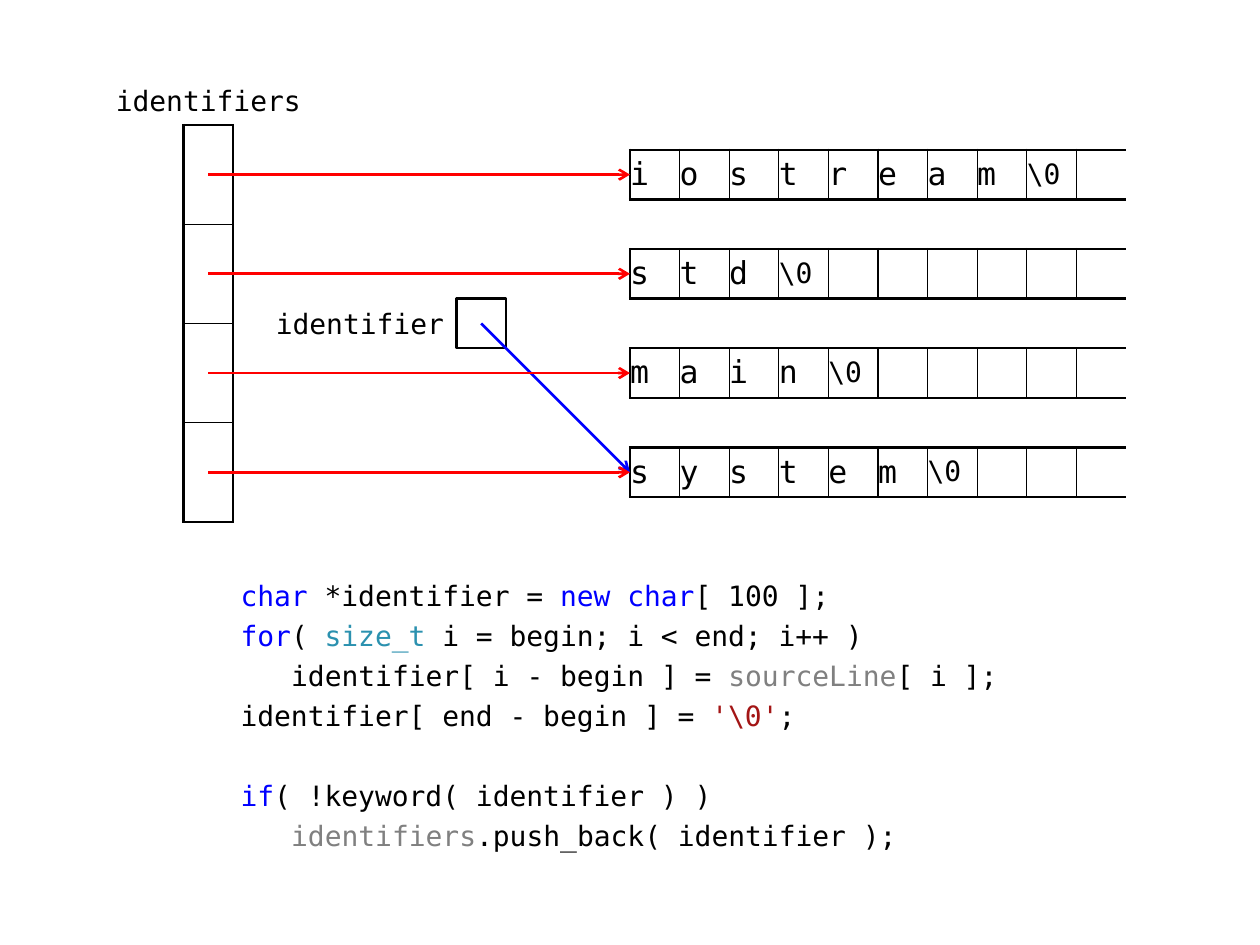
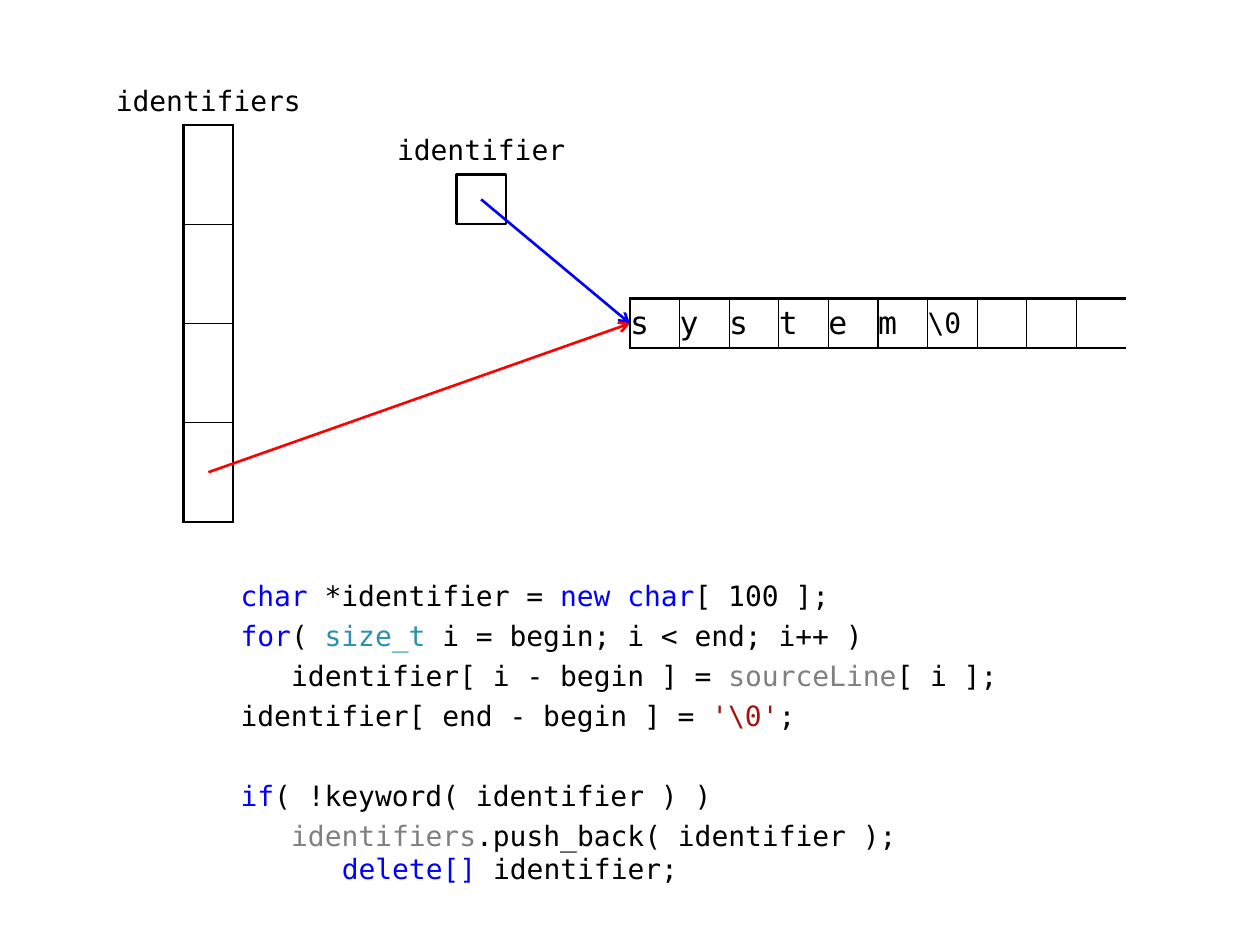
import pptx
import pptx.util
import pptx.dml.color
import pptx.enum.shapes
import pptx.enum.text
import pptx.oxml
import pptx.oxml.ns

Cm = pptx.util.Cm
Pt = pptx.util.Pt
RGBColor = pptx.dml.color.RGBColor
ALIGN = pptx.enum.text.PP_ALIGN
MIDDLE = pptx.enum.text.MSO_ANCHOR.MIDDLE

BLACK = RGBColor(0x00, 0x00, 0x00)
WHITE = RGBColor(0xFF, 0xFF, 0xFF)
BLUE = RGBColor(0x00, 0x00, 0xFF)
RED = RGBColor(0xFF, 0x00, 0x00)
TEAL = RGBColor(0x2B, 0x91, 0xAF)
GRAY = RGBColor(0x80, 0x80, 0x80)
BRICK = RGBColor(0xA3, 0x15, 0x15)

FONT = "DejaVu Sans Mono"
NS = pptx.oxml.ns.nsdecls("a")
THIN, THICK = 0.75, 1.5
TOP = 2.52
LIST_X, ROW_X, BOX_X = 3.7, 12.7, 9.2
STEP = 1.02
LEAD = 3.75
GAP = 26.15

CODE = [
    (0, 0, [("char", BLUE), (" *identifier = ", BLACK), ("new char", BLUE), ("[ 100 ];", BLACK)]),
    (0, LEAD, [("for", BLUE), ("( ", BLACK), ("size_t", TEAL), (" i = begin; i < end; i++ )", BLACK)]),
    (1, LEAD, [("identifier[ i - begin ] = ", BLACK), ("sourceLine", GRAY), ("[ i ];", BLACK)]),
    (0, LEAD, [("identifier[ end - begin ] = ", BLACK), (r"'\0'", BRICK), (";", BLACK)]),
    (0, GAP, [("if", BLUE), ("( !keyword( identifier ) )", BLACK)]),
    (1, LEAD, [("identifiers", GRAY), (".push_back( identifier );", BLACK)]),
]
FREE = (2, 0, [("delete[]", BLUE), (" identifier;", BLACK)])

PAGES = [
    {
        "code": CODE, "high": 6, "box": 6.02,
        "label": (5.2, 6.02, 4, ALIGN.RIGHT),
        "words": [(0, 3.02, "iostream"), (1, 5.02, "std"), (2, 7.02, "main"), (3, 9.02, "system")],
    },
    {
        "code": CODE + [FREE], "high": 6.5, "box": 3.52,
        "label": (7.7, 2.52, 4, ALIGN.CENTER),
        "words": [(3, 6.02, "system")],
    },
]


def add_grid(slide, x, y, rows, cols, high, texts, open_end):
    frame = slide.shapes.add_table(rows, cols, Cm(x), Cm(y), Cm(cols), Cm(rows * high))
    table = frame.table
    table.first_row = table.horz_banding = False
    for col in table.columns:
        col.width = Cm(1)
    for r, row in enumerate(table.rows):
        row.height = Cm(high)
        for c, cell in enumerate(row.cells):
            last = c == cols - 1
            edges = {
                "lnL": THICK if c == 0 else THIN,
                "lnR": (0 if open_end else THICK) if last else THIN,
                "lnT": THICK if r == 0 else THIN,
                "lnB": THICK if r == rows - 1 else THIN,
            }
            props = cell._tc.get_or_add_tcPr()
            for tag, wide in edges.items():
                fill = '<a:solidFill><a:srgbClr val="000000"/></a:solidFill>' if wide else "<a:noFill/>"
                props.append(pptx.oxml.parse_xml(f'<a:{tag} {NS} w="{Pt(wide)}">{fill}</a:{tag}>'))
            cell.fill.background()
            cell.margin_left = cell.margin_right = cell.margin_top = cell.margin_bottom = 0
            cell.vertical_anchor = MIDDLE
            if c < len(texts):
                cell.text_frame.text = texts[c]
                font = cell.text_frame.paragraphs[0].runs[0].font
                font.name = FONT
                font.size = Pt(18 if len(texts[c]) == 1 else 16)
                font.color.rgb = BLACK


def add_arrow(slide, x1, y1, x2, y2, color):
    kind = pptx.enum.shapes.MSO_CONNECTOR.STRAIGHT
    arrow = slide.shapes.add_connector(kind, Cm(x1), Cm(y1), Cm(x2), Cm(y2))
    arrow.line.color.rgb = color
    arrow.line.width = Pt(THICK)
    arrow.line._get_or_add_ln().append(pptx.oxml.parse_xml(f'<a:tailEnd {NS} type="arrow"/>'))
    arrow._element.spPr.append(pptx.oxml.parse_xml(f"<a:effectLst {NS}/>"))


deck = pptx.Presentation()
deck.slide_width = Cm(25.4)
deck.slide_height = Cm(19.05)

for page in PAGES:
    slide = deck.slides.add_slide(deck.slide_layouts[1])
    title = slide.shapes.title._element
    title.getparent().remove(title)

    body = slide.placeholders[1]
    body.left, body.top, body.width, body.height = Cm(4.7), Cm(11.53), Cm(16), Cm(page["high"])
    frame = body.text_frame
    frame.auto_size = pptx.enum.text.MSO_AUTO_SIZE.NONE
    frame.word_wrap = True
    frame.margin_left, frame.margin_right = Cm(0.15), Cm(0.1)
    frame.margin_top = frame.margin_bottom = Cm(0.13)
    for n, (level, space, parts) in enumerate(page["code"]):
        para = frame.add_paragraph() if n else frame.paragraphs[0]
        para.space_before = Pt(space)
        props = para._p.get_or_add_pPr()
        props.set("marL", str(Cm(level * STEP)))
        props.set("indent", "0")
        props.append(pptx.oxml.parse_xml(f"<a:buNone {NS}/>"))
        for text, color in parts:
            run = para.add_run()
            run.text = text
            run.font.name = FONT
            run.font.size = Pt(16)
            run.font.color.rgb = color

    add_grid(slide, LIST_X, TOP, 4, 1, 2, [], False)
    for slot, y, word in page["words"]:
        add_grid(slide, ROW_X, y, 1, 10, 1, list(word) + [r"\0"], True)

    box = slide.shapes.add_shape(
        pptx.enum.shapes.MSO_SHAPE.RECTANGLE, Cm(BOX_X), Cm(page["box"]), Cm(1), Cm(1))
    box.shadow.inherit = False
    box.fill.solid()
    box.fill.fore_color.rgb = WHITE
    box.line.color.rgb = BLACK
    box.line.width = Pt(THICK)

    labels = [("identifiers", (1.7, 1.52, 5, ALIGN.CENTER)), ("identifier", page["label"])]
    for text, (x, y, wide, align) in labels:
        label = slide.shapes.add_textbox(Cm(x), Cm(y), Cm(wide), Cm(1))
        label.text_frame.word_wrap = True
        label.text_frame.vertical_anchor = MIDDLE
        label.text_frame.text = text
        para = label.text_frame.paragraphs[0]
        para.alignment = align
        font = para.runs[0].font
        font.name = FONT
        font.size = Pt(16)
        font.color.rgb = BLACK

    target = page["words"][-1][1] + 0.5
    add_arrow(slide, BOX_X + 0.5, page["box"] + 0.5, ROW_X, target, BLUE)
    for slot, y, word in page["words"]:
        add_arrow(slide, LIST_X + 0.5, TOP + 2 * slot + 1, ROW_X, y + 0.5, RED)

deck.save("out.pptx")
